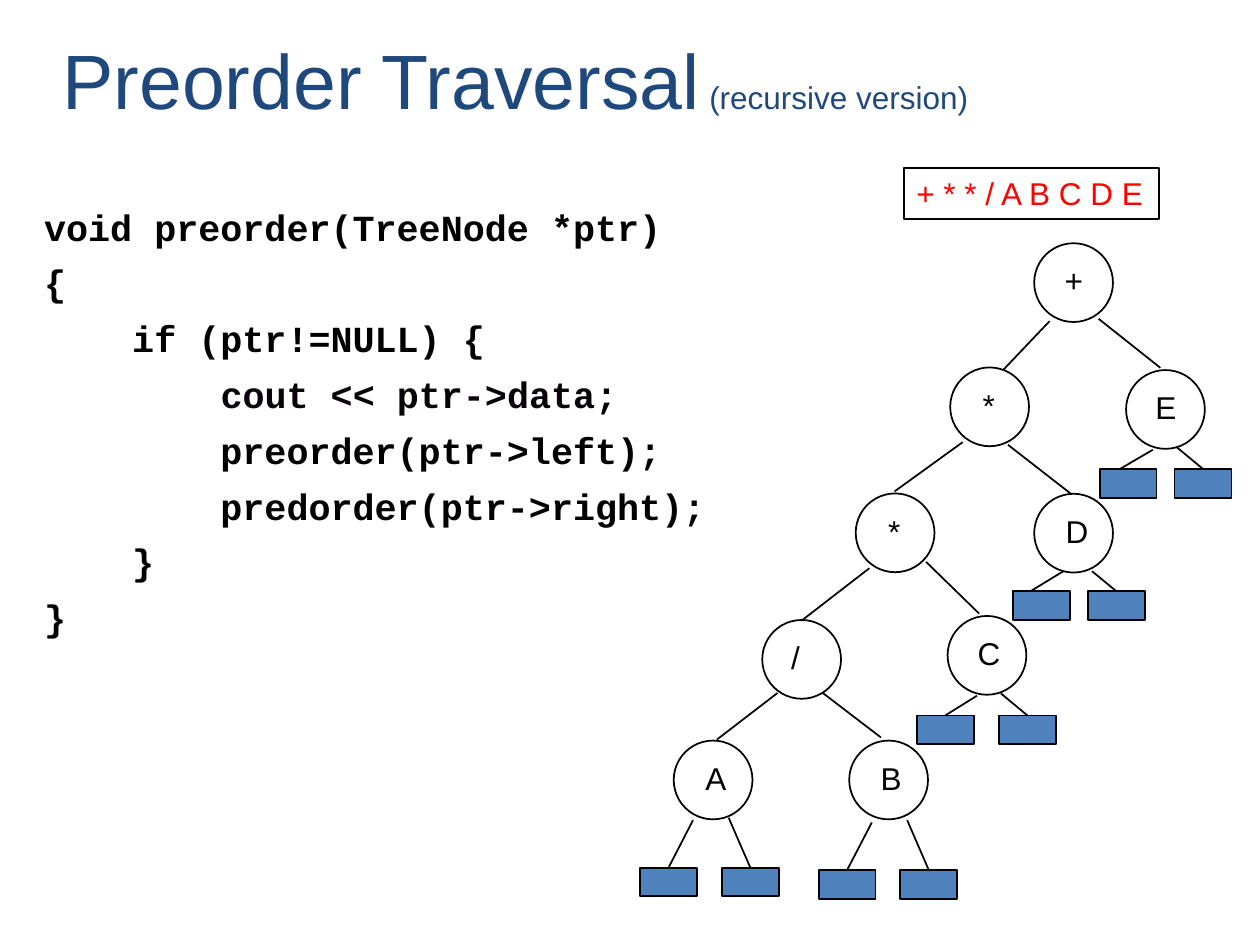
from pptx import Presentation
from pptx.dml.color import RGBColor
from pptx.enum.shapes import MSO_CONNECTOR, MSO_SHAPE
from pptx.enum.text import MSO_ANCHOR, MSO_AUTO_SIZE, PP_ALIGN
from pptx.oxml.ns import qn
from pptx.util import Pt
from lxml.etree import SubElement

COLORS = {"title": "1F497D", "text": "000000", "output": "FF0000",
          "data": "090409", "leaf": "4F81BD", "line": "000000"}
SANS, MONO = "Arial", "Courier New"

# Content: runs are (text, size, colour)
TITLE = [("Preorder Traversal", 44, "title"), (" (recursive version)", 18, "title")]
CODE = [
    [("void preorder(TreeNode *ptr)", 21, "text")],
    [("{", 21, "text")],
    [("    if (ptr!=NULL) {", 21, "text")],
    [("        ", 21, "text"), ("cout << ptr->data", 21, "data"), (";", 21, "text")],
    [("        preorder(ptr->left);", 21, "text")],
    [("        predorder(ptr->right);", 21, "text")],
    [("    }", 21, "text")],
    [("}", 21, "text")],
]
OUTPUT = [("+ * * / A B C D E", 18, "output")]

# Tree nodes: label, circle left and top, label inset and width
NODES = [
    ("+", 591, 139, 10.2, 25.2), ("*", 543, 210, 11.4, 21.6),
    ("*", 489, 282, 11.4, 21.6), ("/", 435.6, 354.3, 9.4, 19.4),
    ("A", 385, 423.2, 11, 26.6), ("B", 485.3, 423.2, 10.8, 26.6),
    ("C", 541.5, 352, 10, 27.4), ("D", 591, 282.2, 10.8, 27.4),
    ("E", 643.5, 211.5, 9.6, 26.6),
]
# Branches between nodes: start x, y, end x, y
BRANCHES = [
    (599.8, 183.5, 573.1, 211.6), (627.8, 182.2, 663.1, 210.2),
    (550.1, 252.7, 511.2, 280.8), (576, 254.2, 612, 282.2),
    (496.8, 324.7, 457.9, 354.8), (529.2, 321.1, 559.5, 350.6),
    (444.3, 396, 409.7, 422.6), (470.2, 396, 503.4, 421.4),
]
# Empty children: left, top, branch start x, y, branch end x (None = middle of top)
LEAVES = [
    (365.8, 495.8, 396, 468.7, None), (412.5, 495.8, 416.4, 467.3, None),
    (467.8, 497.2, 498.2, 470, None), (514.5, 497.2, 518.4, 468.7, None),
    (524, 408.8, 558.2, 397.6, None), (570.8, 408.8, 571.9, 396.2, None),
    (579, 337.8, 607.7, 326.4, 589), (621.6, 337.8, 624, 326.4, None),
    (628.4, 268, 658.8, 257, 640), (671.2, 268, 672.5, 255.6, None),
]
CIRCLE, LEAF_WIDTH, LEAF_HEIGHT = 45, 32.5, 16.4
LABEL_DROP, LABEL_HEIGHT = 6.8, 29


def color(name):
    return RGBColor.from_string(COLORS[name])


def place(shape, left, top, width, height):
    shape.left, shape.top, shape.width, shape.height = map(Pt, (left, top, width, height))


def add_runs(paragraph, runs, font_name=SANS, bold=False):
    for text, size, color_name in runs:
        run = paragraph.add_run()
        run.text = text
        run.font.name, run.font.size, run.font.bold = font_name, Pt(size), bold
        run.font.color.rgb = color(color_name)


def add_outlined(shapes, kind, left, top, width, height, fill=None):
    shape = shapes.add_shape(kind, *map(Pt, (left, top, width, height)))
    shape.shadow.inherit = False
    if fill:
        shape.fill.solid()
        shape.fill.fore_color.rgb = color(fill)
    else:
        shape.fill.background()
    shape.line.color.rgb = color("line")
    shape.line.width = Pt(1)
    return shape


def add_branch(shapes, *ends):
    connector = shapes.add_connector(MSO_CONNECTOR.STRAIGHT, *map(Pt, ends))
    connector.line.color.rgb = color("line")
    connector.line.width = Pt(1)
    SubElement(connector._element.spPr, qn("a:effectLst"))
    return connector


def write_label(shape, runs):
    frame = shape.text_frame
    frame.word_wrap = False
    frame.auto_size = MSO_AUTO_SIZE.SHAPE_TO_FIT_TEXT
    frame.vertical_anchor = MSO_ANCHOR.TOP
    frame.paragraphs[0].alignment = PP_ALIGN.LEFT
    add_runs(frame.paragraphs[0], runs)


def add_node(shapes, label, left, top, inset, width):
    group = shapes.add_group_shape()
    add_outlined(group.shapes, MSO_SHAPE.OVAL, left, top, CIRCLE, CIRCLE)
    box = group.shapes.add_textbox(
        *map(Pt, (left + inset, top + LABEL_DROP, width, LABEL_HEIGHT)))
    write_label(box, [(label, 18, "text")])


def add_leaf(shapes, left, top, start_x, start_y, end_x):
    leaf = add_outlined(shapes, MSO_SHAPE.RECTANGLE, left, top,
                        LEAF_WIDTH, LEAF_HEIGHT, "leaf")
    branch = add_branch(shapes, start_x, start_y, end_x or left + LEAF_WIDTH / 2, top)
    if end_x is None:
        branch.end_connect(leaf, 0)


def main():
    presentation = Presentation()
    presentation.slide_width, presentation.slide_height = Pt(720), Pt(540)
    slide = presentation.slides.add_slide(presentation.slide_layouts[1])
    shapes = slide.shapes

    # Title
    title = shapes.title
    place(title, -66.2, 0, 721.4, 90)
    title.text_frame.auto_size = MSO_AUTO_SIZE.NONE
    title.text_frame.vertical_anchor = MSO_ANCHOR.MIDDLE
    title.text_frame.paragraphs[0].alignment = PP_ALIGN.CENTER
    add_runs(title.text_frame.paragraphs[0], TITLE)

    # Code listing
    body = slide.placeholders[1]
    place(body, 18, 113.2, 545.8, 318.8)
    frame = body.text_frame
    frame.auto_size = MSO_AUTO_SIZE.NONE
    for index, runs in enumerate(CODE):
        paragraph = frame.add_paragraph() if index else frame.paragraphs[0]
        properties = paragraph._p.get_or_add_pPr()
        properties.set("marL", str(Pt(27)))
        properties.set("indent", str(Pt(-27)))
        SubElement(properties, qn("a:buNone"))
        paragraph.space_before = Pt(6.7 if index else 0)
        add_runs(paragraph, runs, MONO, bold=True)

    # Traversal output
    output = add_outlined(shapes, MSO_SHAPE.RECTANGLE, 516.5, 96, 146, LABEL_HEIGHT)
    write_label(output, OUTPUT)

    # Expression tree
    for node in NODES:
        add_node(shapes, *node)
    for branch in BRANCHES:
        add_branch(shapes, *branch)
    for leaf in LEAVES:
        add_leaf(shapes, *leaf)

    presentation.save("out.pptx")


if __name__ == "__main__":
    main()
